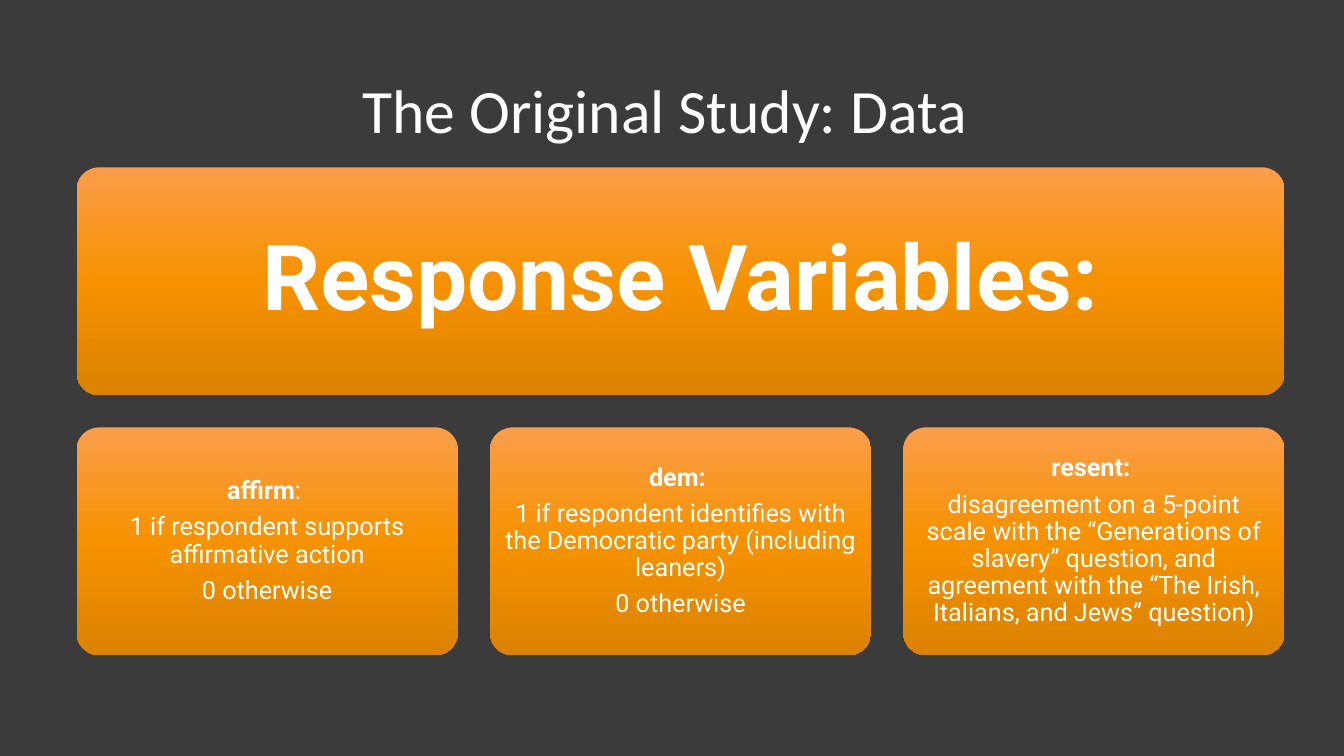
from copy import deepcopy
from dataclasses import dataclass

from pptx import Presentation
from pptx.dml.color import RGBColor
from pptx.enum.shapes import MSO_SHAPE
from pptx.enum.text import MSO_ANCHOR, MSO_AUTO_SIZE, PP_ALIGN
from pptx.oxml.ns import qn
from pptx.shapes.autoshape import Shape
from pptx.slide import Slide
from pptx.util import Inches, Pt

ROUNDED = MSO_SHAPE.ROUNDED_RECTANGLE
CENTER = PP_ALIGN.CENTER
MIDDLE, BOTTOM = MSO_ANCHOR.MIDDLE, MSO_ANCHOR.BOTTOM
NO_AUTOFIT = MSO_AUTO_SIZE.NONE
TITLE_ONLY = 5


@dataclass(frozen=True)
class Theme:
    background: str = "3B3B3B"
    text: str = "FFFFFF"
    gradient: tuple[tuple[float, str], ...] = (
        (0, "FB9E4B"), (0.5, "F69200"), (1, "DB8200"))
    title_font: str = "Calibri"
    body_font: str = "Roboto"
    title_size: int = 44
    heading_size: int = 65
    body_size: int = 18


@dataclass(frozen=True)
class Grid:
    left: float = 0.76
    top: float = 1.66
    col_width: float = 3.78
    row_height: float = 2.26
    gap: float = 0.32

    def x(self, col: int) -> float:
        return self.left + col * (self.col_width + self.gap)

    def y(self, row: int) -> float:
        return self.top + row * (self.row_height + self.gap)

    def width(self, span: int) -> float:
        return span * self.col_width + (span - 1) * self.gap


@dataclass(frozen=True)
class Run:
    text: str
    bold: bool = False


@dataclass(frozen=True)
class Card:
    col: int
    row: int
    paragraphs: tuple[tuple[Run, ...], ...]
    span: int = 1
    size: int = Theme.body_size
    inset: float = 0.07


THEME = Theme()
GRID = Grid()

CARDS = (
    Card(0, 0, ((Run("Response Variables:", True),),),
         span=3, size=THEME.heading_size, inset=0.27),
    Card(0, 1, (
        (Run("affirm", True), Run(": ")),
        (Run("1 if respondent supports affirmative action"),),
        (Run("0 otherwise"),))),
    Card(1, 1, (
        (Run("dem: ", True),),
        (Run("1 if respondent identifies with the Democratic party "
             "(including leaners)"),),
        (Run("0 otherwise"),))),
    Card(2, 1, (
        (Run("resent: ", True),),
        (Run("disagreement on a 5-point scale with the “Generations of "
             "slavery” question, and agreement with the “The Irish, "
             "Italians, and Jews” question)"),))),
)


def add_run(p, run: Run, font: str, size: int) -> None:
    r = p.add_run()
    r.text = run.text
    r.font.name = font
    r.font.size = Pt(size)
    r.font.bold = run.bold
    r.font.color.rgb = RGBColor.from_string(THEME.text)


def fill_gradient(sp: Shape) -> None:
    """Fill from top to bottom; the two default stops are extended to three."""
    sp.fill.gradient()
    sp.fill.gradient_angle = 270
    stops = sp._element.spPr.find(".//" + qn("a:gsLst"))
    stops.append(deepcopy(stops[0]))
    for stop, (position, color) in zip(sp.fill.gradient_stops, THEME.gradient):
        stop.position = position
        stop.color.rgb = RGBColor.from_string(color)


def add_title(slide: Slide, text: str) -> None:
    sp = slide.shapes.title
    sp.left, sp.top = Inches(1.32), Inches(-1.21)
    sp.width, sp.height = Inches(10.69), Inches(2.71)
    tf = sp.text_frame
    tf.auto_size = NO_AUTOFIT
    tf.vertical_anchor = BOTTOM
    p = tf.paragraphs[0]
    p.alignment = CENTER
    add_run(p, Run(text), THEME.title_font, THEME.title_size)


def add_card(slide: Slide, card: Card) -> None:
    sp = slide.shapes.add_shape(
        ROUNDED, Inches(GRID.x(card.col)), Inches(GRID.y(card.row)),
        Inches(GRID.width(card.span)), Inches(GRID.row_height))
    sp.adjustments[0] = 0.1
    sp.shadow.inherit = False
    sp.line.fill.background()
    fill_gradient(sp)

    tf = sp.text_frame
    tf.word_wrap = True
    tf.vertical_anchor = MIDDLE
    tf.margin_left = tf.margin_right = Inches(card.inset)
    tf.margin_top = tf.margin_bottom = Inches(card.inset)
    for i, runs in enumerate(card.paragraphs):
        p = tf.add_paragraph() if i else tf.paragraphs[0]
        p.alignment = CENTER
        p.line_spacing = 0.9
        p.space_after = Pt(0.35 * card.size)
        for run in runs:
            add_run(p, run, THEME.body_font, card.size)


def main() -> None:
    prs = Presentation()
    prs.slide_width, prs.slide_height = Inches(13.33), Inches(7.5)
    slide = prs.slides.add_slide(prs.slide_layouts[TITLE_ONLY])
    background = slide.background.fill
    background.solid()
    background.fore_color.rgb = RGBColor.from_string(THEME.background)
    add_title(slide, "The Original Study: Data ")
    for card in CARDS:
        add_card(slide, card)
    prs.save("out.pptx")


if __name__ == "__main__":
    main()
